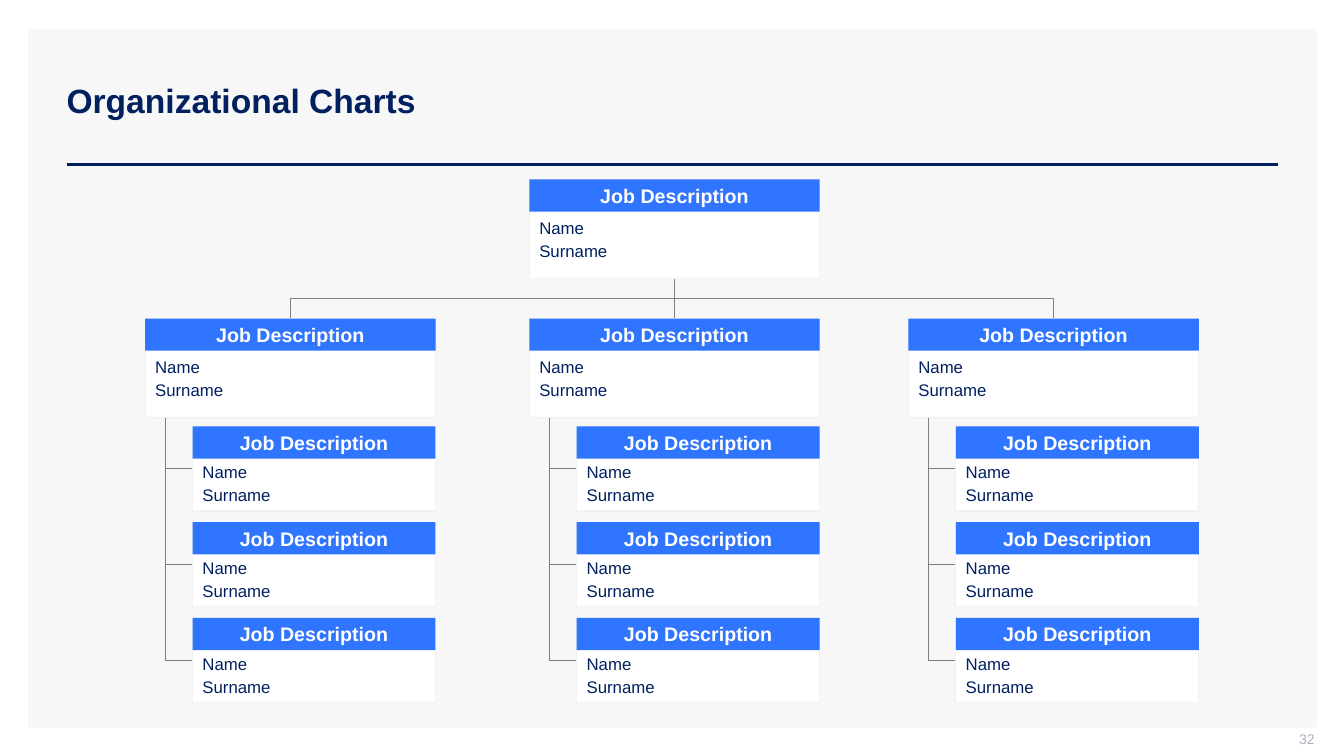
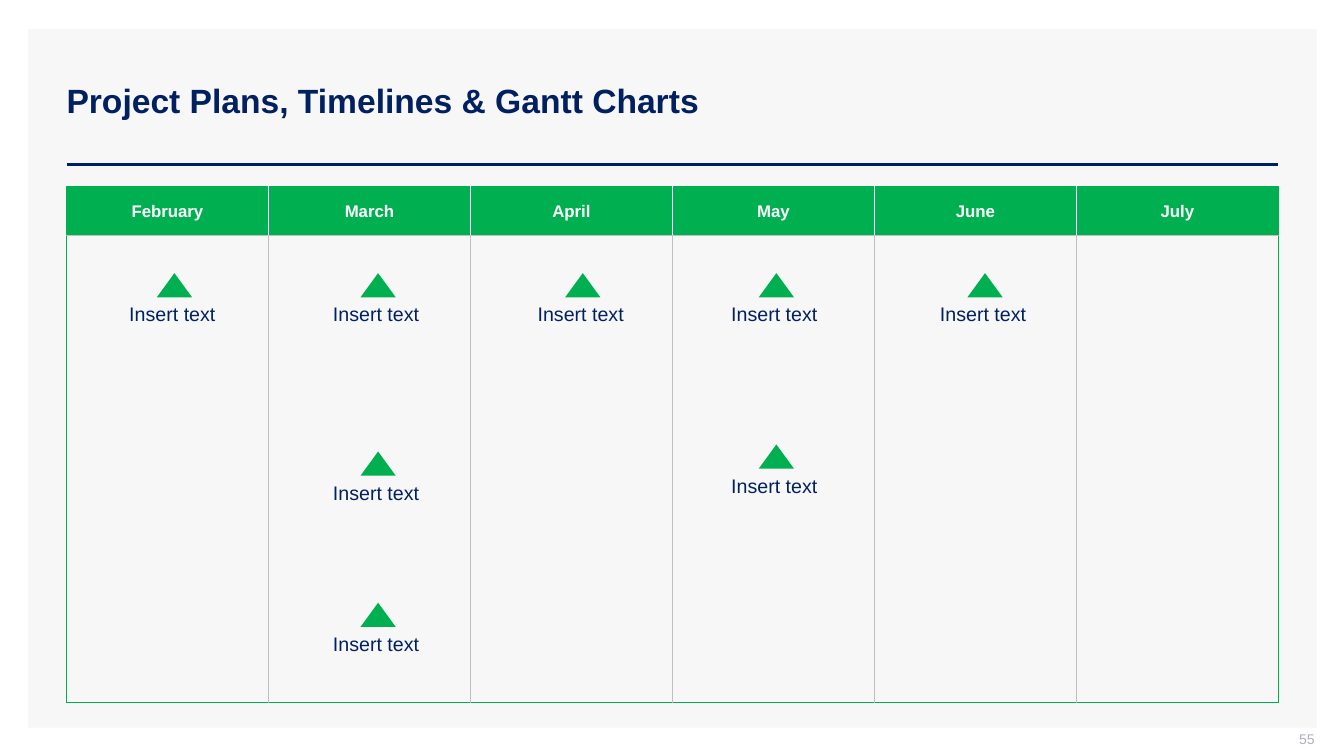
from lxml import etree
from pptx import Presentation
from pptx.dml.color import RGBColor
from pptx.enum.shapes import MSO_CONNECTOR, MSO_SHAPE
from pptx.enum.text import MSO_ANCHOR, MSO_AUTO_SIZE, PP_ALIGN
from pptx.oxml.ns import qn
from pptx.util import Emu, Inches, Pt

RECTANGLE, TRIANGLE = MSO_SHAPE.RECTANGLE, MSO_SHAPE.ISOSCELES_TRIANGLE
STRAIGHT, ELBOW = MSO_CONNECTOR.STRAIGHT, MSO_CONNECTOR.ELBOW
LEFT, CENTER, RIGHT = PP_ALIGN.LEFT, PP_ALIGN.CENTER, PP_ALIGN.RIGHT
TOP, MIDDLE = MSO_ANCHOR.TOP, MSO_ANCHOR.MIDDLE

FONT = "Arial"
COLORS = {
    "panel": "F7F7F7",
    "navy": "002060",
    "blue": "3075FF",
    "green": "00B050",
    "white": "FFFFFF",
    "card edge": "F2F2F2",
    "link": "7F7F7F",
    "grid": "BFBFBF",
    "number": "ADAFBB",
}
COLOR = {name: RGBColor.from_string(value) for name, value in COLORS.items()}

MARGIN, RULE_Y, CONTENT_W = 0.66, 1.63, 12.02


def add_block(slide, kind, left, top, width, height, fill, edge=None):
    block = slide.shapes.add_shape(
        kind, Inches(left), Inches(top), Inches(width), Inches(height))
    block.shadow.inherit = False
    block.fill.solid()
    block.fill.fore_color.rgb = COLOR[fill]
    if edge:
        block.line.color.rgb = COLOR[edge]
        block.line.width = Pt(0.75)
    else:
        block.line.fill.background()
    return block


def write(frame, lines, size, color, bold=False, align=LEFT, anchor=MIDDLE,
          insets=(0.1, 0.05, 0.1, 0.05)):
    """Fill a text frame, one paragraph per line; insets run left, top, right, bottom."""
    frame.word_wrap = True
    frame.auto_size = MSO_AUTO_SIZE.NONE
    frame.vertical_anchor = anchor
    (frame.margin_left, frame.margin_top,
     frame.margin_right, frame.margin_bottom) = map(Inches, insets)
    for index, line in enumerate(lines):
        paragraph = frame.add_paragraph() if index else frame.paragraphs[0]
        paragraph.alignment = align
        if index:
            paragraph.space_before = Pt(2)
        run = paragraph.add_run()
        run.text = line
        run.font.name = FONT
        run.font.size = Pt(size)
        run.font.bold = bold
        run.font.color.rgb = COLOR[color]


prs = Presentation()
prs.slide_width, prs.slide_height = Inches(13.33), Inches(7.5)
title_only = prs.slide_layouts[5]

# Shared frame: panel, title, rule and page number
slides = []
for heading, number in (("Organizational Charts", "32"),
                        ("Project Plans, Timelines & Gantt Charts", "55")):
    slide = prs.slides.add_slide(title_only)
    slides.append(slide)
    add_block(slide, RECTANGLE, 0.28, 0.29, 12.78, 6.93, "panel")

    title = slide.shapes.title
    title.left, title.top = Inches(0.56), Inches(0.4)
    title.width, title.height = Inches(12.11), Inches(1.19)
    write(title.text_frame, [heading], 24, "navy", bold=True)
    slide.shapes._spTree.append(title._element)  # in front of the panel

    rule = slide.shapes.add_connector(
        STRAIGHT, Inches(MARGIN), Inches(RULE_Y),
        Inches(MARGIN + CONTENT_W), Inches(RULE_Y))
    rule.line.color.rgb = COLOR["navy"]
    rule.line.width = Pt(2)
    etree.SubElement(rule._element.spPr, qn("a:effectLst"))

    page = slide.shapes.add_textbox(
        Inches(10.04), Inches(7.25), Inches(3), Inches(0.21))
    write(page.text_frame, [number], 10, "number", align=RIGHT,
          insets=(0.1, 0, 0, 0.05))

org_slide, plan_slide = slides

# Organizational chart: a lead, three managers, three reports under each
CARD_W, CARD_H, HEAD_H = 2.88, 0.98, 0.32
REPORT_W, REPORT_H, REPORT_STEP = 2.41, 0.84, 0.95
INDENT = CARD_W - REPORT_W
STEM = 0.2
LEAD_TOP, MANAGER_TOP, REPORT_TOP = 1.78, 3.16, 4.23
MANAGER_LEFTS = (1.44, 5.25, 9.01)
lead_left = MANAGER_LEFTS[1]
lead_x = lead_left + CARD_W / 2

# cards: left, top, width, height, inset above the name
cards = [(lead_left, LEAD_TOP, CARD_W, CARD_H, 0.2)]
# links: start x, start y, end x, end y, preset outline
links = []
for left in MANAGER_LEFTS:
    cards.append((left, MANAGER_TOP, CARD_W, CARD_H, 0.2))
    links.append((lead_x, LEAD_TOP + CARD_H,
                  left + CARD_W / 2, MANAGER_TOP, "bentConnector3"))
    for row in range(3):
        top = REPORT_TOP + row * REPORT_STEP
        cards.append((left + INDENT, top, REPORT_W, REPORT_H, 0.29))
        links.append((left + STEM, MANAGER_TOP + CARD_H,
                      left + INDENT, top + REPORT_H / 2, "bentConnector2"))

for x1, y1, x2, y2, outline in links:
    if x1 == x2:
        link = org_slide.shapes.add_connector(
            STRAIGHT, Inches(x1), Inches(y1), Inches(x2), Inches(y2))
    else:
        # An elbow that leaves downwards is a sideways one, turned about its centre
        mid_x, mid_y = (x1 + x2) / 2, (y1 + y2) / 2
        half_drop, half_run = (y2 - y1) / 2, abs(x2 - x1) / 2
        side, turn = (1, 270) if x2 > x1 else (-1, 90)
        link = org_slide.shapes.add_connector(
            ELBOW, Inches(mid_x + side * half_drop), Inches(mid_y - half_run),
            Inches(mid_x - side * half_drop), Inches(mid_y + half_run))
        properties = link._element.spPr
        properties.find(qn("a:xfrm")).set("rot", str(turn * 60000))
        properties.find(qn("a:prstGeom")).set("prst", outline)
    link.line.color.rgb = COLOR["link"]
    link.line.width = Pt(0.5)
    etree.SubElement(link._element.spPr, qn("a:effectLst"))

for left, top, width, height, name_inset in cards:
    person = add_block(org_slide, RECTANGLE, left, top, width, height,
                       "white", "card edge")
    write(person.text_frame, ["Name", "Surname"], 12, "navy",
          insets=(0.1, name_inset, 0.1, 0))
    job = add_block(org_slide, RECTANGLE, left, top, width, HEAD_H, "blue")
    write(job.text_frame, ["Job Description"], 14, "white", bold=True, align=CENTER)

# Project plan: one column per month
MONTHS = ("February", "March", "April", "May", "June", "July")
ROW_HEIGHTS = (0.49, 4.63)
last = len(MONTHS) - 1
plan = plan_slide.shapes.add_table(
    len(ROW_HEIGHTS), len(MONTHS), Inches(MARGIN), Inches(1.85),
    Inches(CONTENT_W), Inches(sum(ROW_HEIGHTS))).table
plan.first_row = plan.horz_banding = False
for row, height in zip(plan.rows, ROW_HEIGHTS):
    row.height = Inches(height)

for row in range(len(ROW_HEIGHTS)):
    header = row == 0
    divider = ("white", 1) if header else ("grid", 0.75)
    outer, inner = ("green", 0.75), ("grid", 0.75)
    for column, month in enumerate(MONTHS):
        cell = plan.cell(row, column)
        borders = {
            "a:lnL": outer if column == 0 else divider,
            "a:lnR": outer if column == last else divider,
            "a:lnT": outer if header else inner,
            "a:lnB": inner if header else outer,
        }
        cell_properties = cell._tc.get_or_add_tcPr()
        for tag, (color, width) in borders.items():
            border = etree.SubElement(cell_properties, qn(tag), w=str(Pt(width)))
            fill = etree.SubElement(border, qn("a:solidFill"))
            etree.SubElement(fill, qn("a:srgbClr"), val=COLORS[color])
        if not header:
            cell.fill.background()
            continue
        cell.fill.solid()
        cell.fill.fore_color.rgb = COLOR["green"]
        cell.vertical_anchor = MIDDLE
        cell.margin_left = cell.margin_right = Inches(0.07)
        cell.margin_top = cell.margin_bottom = Emu(0)
        paragraph = cell.text_frame.paragraphs[0]
        paragraph.alignment = CENTER
        run = paragraph.add_run()
        run.text = month
        run.font.name = FONT
        run.font.size = Pt(12)
        run.font.bold = True
        run.font.color.rgb = COLOR["white"]

# Milestones: centre of the marker, then the tops of the markers below it
MILESTONES = (
    (1.73, (2.71,)),
    (3.75, (2.71, 4.48, 5.98)),
    (5.78, (2.71,)),
    (7.7, (2.71, 4.41)),
    (9.77, (2.71,)),
)
MARKER_W, MARKER_H, LABEL_W, LABEL_H = 0.35, 0.24, 1.79, 0.34
LABEL_SHIFT = 0.02
for centre, tops in MILESTONES:
    for top in tops:
        add_block(plan_slide, TRIANGLE, centre - MARKER_W / 2, top,
                  MARKER_W, MARKER_H, "green")
        label = plan_slide.shapes.add_textbox(
            Inches(centre - LABEL_SHIFT - LABEL_W / 2), Inches(top + MARKER_H),
            Inches(LABEL_W), Inches(LABEL_H))
        write(label.text_frame, ["Insert text"], 14, "navy", align=CENTER, anchor=TOP)

prs.save("out.pptx")
